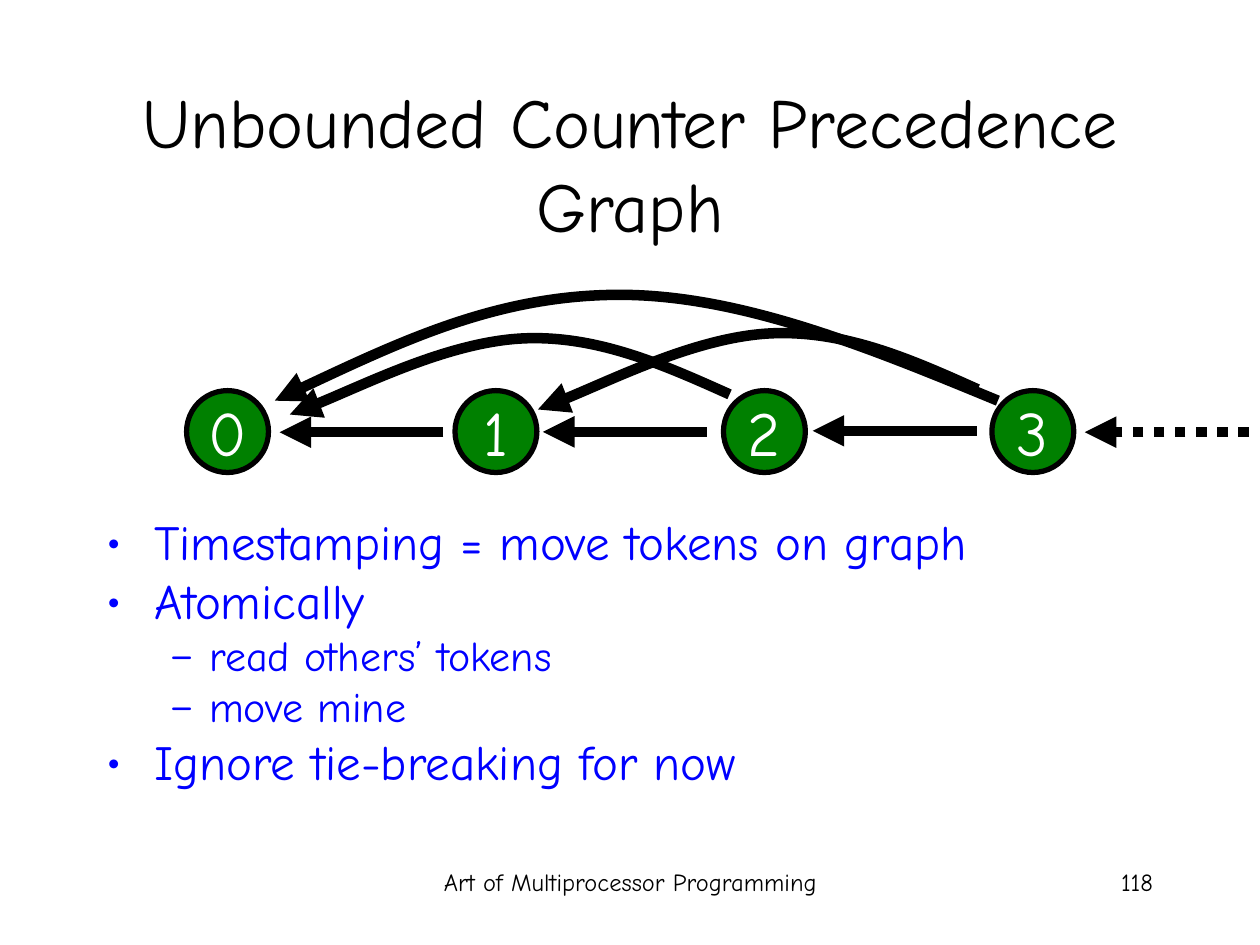
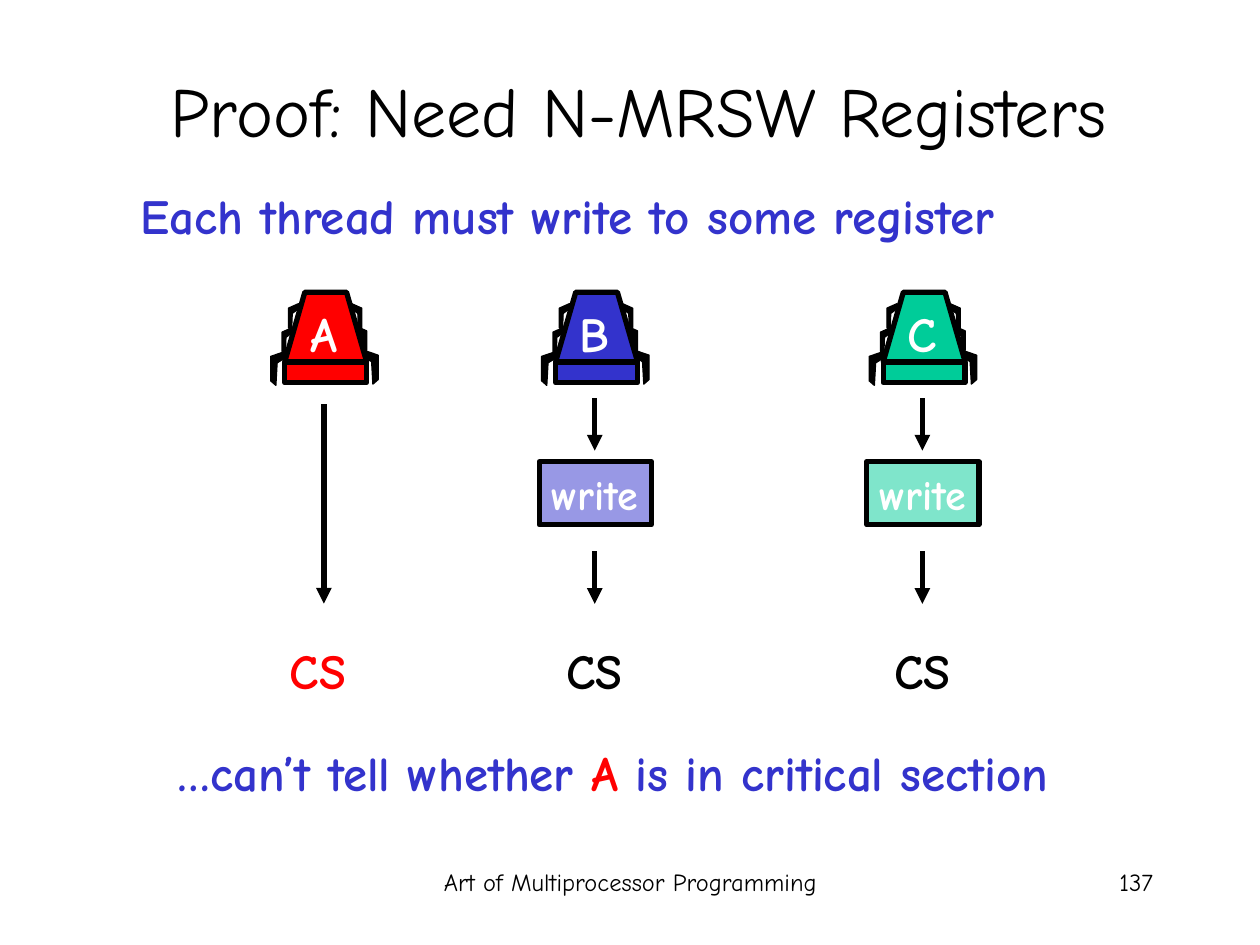
import pptx
import pptx.dml.color
import pptx.enum.dml
import pptx.enum.shapes
import pptx.enum.text
import pptx.oxml.ns
import pptx.util
from lxml import etree

Pt = pptx.util.Pt
qn = pptx.oxml.ns.qn
Align = pptx.enum.text.PP_ALIGN
Anchor = pptx.enum.text.MSO_ANCHOR
Fit = pptx.enum.text.MSO_AUTO_SIZE
Kind = pptx.enum.shapes.MSO_SHAPE

BLACK, WHITE = "000000", "FFFFFF"
RED, NAVY, TEAL = "FF0000", "3333CC", "00CC99"
BLUE, GREEN = "0000FF", "008000"

ARM = [(0, 0), (5.8, 2.6), (5.8, 13.7), (4, 15.8), (3.6, 5.6), (0, 2.9)]
FOOT = [(0, 0), (10.2, 3.5), (10.2, 17.4), (7.2, 20), (6.5, 7.2), (0.7, 3.5)]
LIMBS = [
    (FOOT, 43.2, 199.5, 1), (ARM, 41, 186.5, 1),
    (FOOT, 2.2, 200.2, -1), (ARM, 4.3, 187.2, -1),
    (ARM, 38.2, 173.5, 1), (ARM, 7.9, 173.5, -1),
]


def hue(code):
    return pptx.dml.color.RGBColor.from_string(code)


def put(item, values):
    for name, value in values.items():
        setattr(item, name, value)


class Deck:
    font = "Comic Neue"
    footer = "Art of Multiprocessor Programming"

    def __init__(self):
        self.show = pptx.Presentation()
        put(self.show, {"slide_width": Pt(720), "slide_height": Pt(540)})
        self.slide = None

    def page(self, title, box, number):
        self.slide = self.show.slides.add_slide(self.show.slide_layouts[6])
        self.text((246.2, 491.8, 228.2, 36), self.footer, 14, align=Align.CENTER)
        self.text((516.2, 491.8, 149.8, 36), number, 14, align=Align.RIGHT)
        self.text(box, title, 40, align=Align.CENTER, anchor=Anchor.MIDDLE)

    def frame(self, shape, wrap=True, grow=False, anchor=Anchor.TOP):
        frame = shape.text_frame
        put(frame, {
            "margin_left": Pt(7.2), "margin_right": Pt(7.2),
            "margin_top": Pt(3.6), "margin_bottom": Pt(3.6),
            "auto_size": Fit.SHAPE_TO_FIT_TEXT if grow else Fit.NONE,
            "word_wrap": wrap, "vertical_anchor": anchor,
        })
        return frame

    def run(self, para, text, size, color=BLACK, bold=False):
        run = para.add_run()
        run.text = text
        put(run.font, {"name": self.font, "size": Pt(size), "bold": bold})
        run.font.color.rgb = hue(color)

    def text(self, box, words, size, color=BLACK, bold=False,
             align=Align.LEFT, **form):
        shape = self.slide.shapes.add_textbox(*map(Pt, box))
        para = self.frame(shape, **form).paragraphs[0]
        para.alignment = align
        parts = [(words, color)] if isinstance(words, str) else words
        for part, shade in parts:
            self.run(para, part, size, shade, bold)

    def list(self, box, items, color):
        frame = self.frame(self.slide.shapes.add_textbox(*map(Pt, box)))
        looks = [("•", 28, 27, 27, 7), ("–", 24, 58.5, 22.5, 6)]
        for place, (level, words) in enumerate(items):
            mark, size, left, hang, gap = looks[level]
            para = frame.add_paragraph() if place else frame.paragraphs[0]
            props = para._p.get_or_add_pPr()
            props.set("marL", str(Pt(left)))
            props.set("indent", str(-Pt(hang)))
            tint = etree.SubElement(props, qn("a:buClr"))
            etree.SubElement(tint, qn("a:srgbClr")).set("val", color)
            etree.SubElement(props, qn("a:buFont")).set("typeface", self.font)
            etree.SubElement(props, qn("a:buChar")).set("char", mark)
            put(para, {"level": level, "line_spacing": 0.8,
                       "space_before": Pt(gap if place else 0)})
            self.run(para, words, size, color)

    def paint(self, shape, fill, width, clear=None):
        shape.shadow.inherit = False
        shape.fill.solid()
        shape.fill.fore_color.rgb = hue(fill)
        if clear:
            tint = shape._element.spPr.find(".//" + qn("a:srgbClr"))
            etree.SubElement(tint, qn("a:alpha")).set("val", str(clear * 1000))
        self.edge(shape, width)

    def edge(self, shape, width, arrow=False):
        shape.line.color.rgb = hue(BLACK)
        shape.line.width = Pt(width)
        if arrow:
            stroke = shape.line._get_or_add_ln()
            etree.SubElement(stroke, qn("a:tailEnd")).set("type", "triangle")

    def block(self, kind, box, fill, words, size, bold=False, clear=None,
              align=Align.LEFT, **form):
        shape = self.slide.shapes.add_shape(kind, *map(Pt, box))
        self.paint(shape, fill, 3, clear)
        para = self.frame(shape, wrap=False, **form).paragraphs[0]
        para.alignment = align
        self.run(para, words, size, WHITE, bold)

    def arrow(self, start, end, width, dash=None):
        line = self.slide.shapes.add_connector(
            pptx.enum.shapes.MSO_CONNECTOR.STRAIGHT, *map(Pt, start + end))
        line.line.dash_style = dash
        self.edge(line, width, True)
        etree.SubElement(line._element.spPr, qn("a:effectLst"))

    def outline(self, shapes, points, close=True):
        spots = [(Pt(x), Pt(y)) for x, y in points]
        pen = shapes.build_freeform(*spots[0])
        pen.add_line_segments(spots[1:], close=close)
        return pen.convert_to_shape()

    def curve(self, points):
        shape = self.outline(self.slide.shapes, points, False)
        track = shape._element.find(".//" + qn("a:path"))
        legs = list(track)[1:]
        for first in range(0, len(legs), 3):
            bend = etree.SubElement(track, qn("a:cubicBezTo"))
            for leg in legs[first:first + 3]:
                bend.append(leg[0])
                track.remove(leg)
        shape.fill.background()
        shape.shadow.inherit = False
        self.edge(shape, 6, True)

    def thread(self, left, color, name):
        shapes = self.slide.shapes.add_group_shape().shapes
        for limb, x, y, side in LIMBS:
            points = [(left + x + side * dx, y + dy) for dx, dy in limb]
            self.paint(self.outline(shapes, points), BLACK, 0.75)
        trunk = [(left, 206.8), (left + 11.5, 167), (left + 35.3, 167),
                 (left + 46.8, 206.8)]
        self.paint(self.outline(shapes, trunk), color, 3)
        base = shapes.add_shape(
            Kind.RECTANGLE, *map(Pt, (left, 207.2, 46.8, 11.5)))
        self.paint(base, color, 3)
        self.text((left + 2.4, 170.2, 40, 41), name, 28, WHITE, True,
                  Align.CENTER)


def graph(deck):
    deck.page("Unbounded Counter Precedence Graph", (54, 48, 612, 90), "118")
    for node in range(4):
        deck.block(Kind.OVAL, (106.6 + 153.4 * node, 223.2, 46.8, 46.8), GREEN,
                   str(node), 36, align=Align.CENTER, anchor=Anchor.MIDDLE)
    deck.curve([(570.2, 229), (496.8, 198.7), (423.4, 168.5), (354.2, 168.5),
                (285.1, 168.5), (221, 198.7), (157, 229)])
    hop = [(251.3, 0), (213.5, -17), (175.5, -33.8), (133.8, -32),
           (92, -30.2), (22.2, 4), (0, 11.5)]
    for x, y in [(165.6, 225.4), (307.4, 222.5)]:
        deck.curve([(x + dx, y + dy) for dx, dy in hop])
    dots = pptx.enum.dml.MSO_LINE.ROUND_DOT
    for tip, y, dash in [(159.8, 247, None), (310.3, 246.8, None),
                         (464.4, 246.2, None), (619.9, 247, dots)]:
        deck.arrow((tip + 93.6, y), (tip, y), 6, dash)
    deck.list((54, 295.2, 612, 166.3), [
        (0, "Timestamping = move tokens on graph"),
        (0, "Atomically"),
        (1, "read others’ tokens"),
        (1, "move mine"),
        (0, "Ignore tie-breaking for now"),
    ], BLUE)


def proof(deck):
    deck.page("Proof: Need N-MRSW Registers", (48.2, 17.3, 633.6, 90), "137")
    deck.text((73.4, 102.4, 583.2, 41), "Each thread must write to some register",
              28, NAVY, True, grow=True)
    deck.text((67, 420.5, 576.7, 41),
              [("…can’t tell whether ", NAVY), ("A", RED),
               (" is in critical section ", NAVY)],
              28, bold=True, align=Align.CENTER, grow=True)
    for name, left, color, shade, shift in [
            ("A", 162.7, RED, RED, -11), ("B", 317.5, NAVY, BLACK, -7.8),
            ("C", 504.7, TEAL, BLACK, -7.8)]:
        deck.thread(left, color, name)
        middle = left + 22.4
        if name == "A":
            deck.arrow((middle, 231.1), (middle, 344.9), 3)
        else:
            deck.block(Kind.RECTANGLE, (left - 9.4, 263.9, 64.1, 36), color,
                       "write", 24, True, 50, grow=True)
            for top in (227.5, 315.1):
                deck.arrow((middle, top), (middle, top + 30), 3)
        deck.text((left + shift, 362.2, 60, 41), "CS", 28, shade, True,
                  Align.CENTER)


def main():
    deck = Deck()
    graph(deck)
    proof(deck)
    deck.show.save("out.pptx")


if __name__ == "__main__":
    main()
